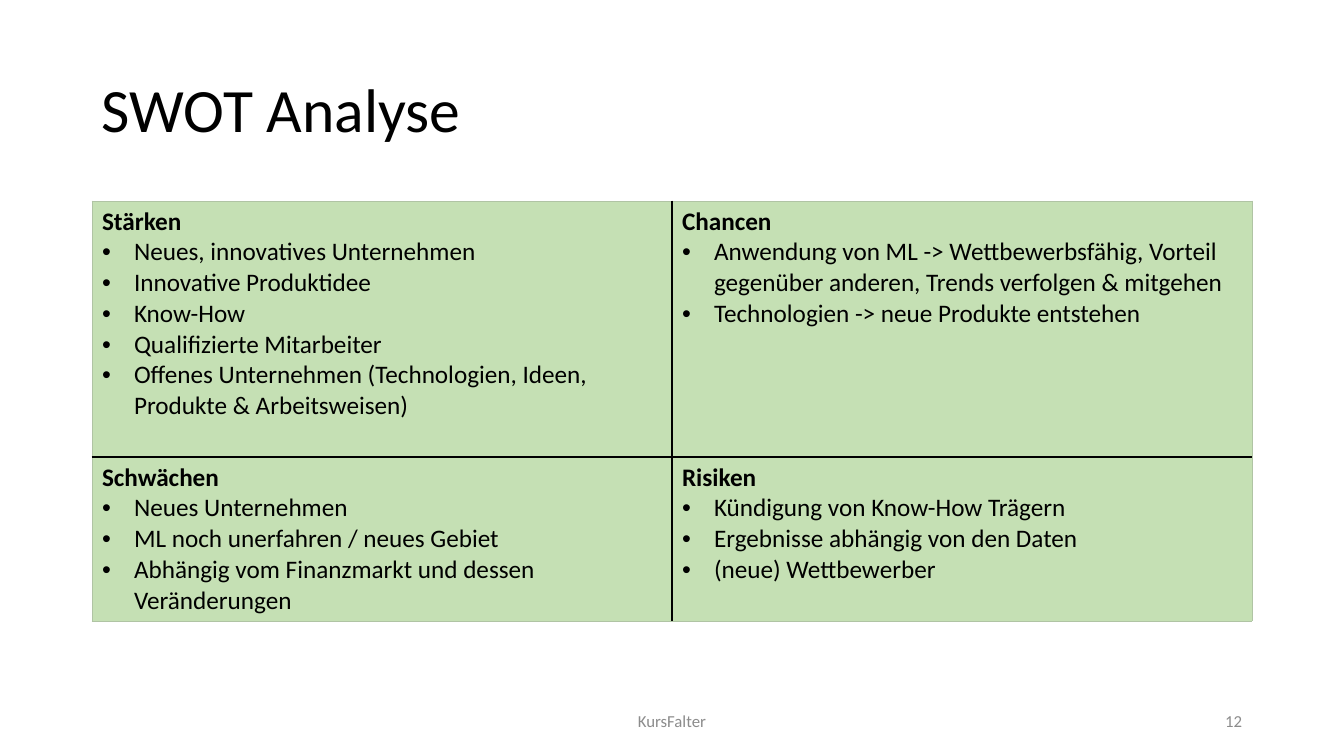
import pptx
import pptx.util
import pptx.dml.color
import pptx.enum.text
import pptx.oxml.ns
from lxml import etree

TITLE = "SWOT Analyse"
COMPANY = "KursFalter"
PAGE = "12"
SWOT = [
    [
        ("Stärken", [
            "Neues, innovatives Unternehmen",
            "Innovative Produktidee",
            "Know-How",
            "Qualifizierte Mitarbeiter",
            "Offenes Unternehmen (Technologien, Ideen, Produkte & Arbeitsweisen)",
        ]),
        ("Chancen", [
            "Anwendung von ML -> Wettbewerbsfähig, Vorteil gegenüber anderen, "
            "Trends verfolgen & mitgehen",
            "Technologien -> neue Produkte entstehen",
        ]),
    ],
    [
        ("Schwächen", [
            "Neues Unternehmen",
            "ML noch unerfahren / neues Gebiet",
            "Abhängig vom Finanzmarkt und dessen Veränderungen",
        ]),
        ("Risiken", [
            "Kündigung von Know-How Trägern",
            "Ergebnisse abhängig von den Daten",
            "(neue) Wettbewerber",
        ]),
    ],
]

THEME = {
    "font": "Calibri",
    "ink": "000000",
    "muted": "8C8C8C",
    "field": "C5E0B4",
    "edge": "B0C4A4",
    "title_size": 44,
    "body_size": 18,
    "footer_size": 12,
    "divider_width": 1,
    "edge_width": 0.5,
}

SLIDE_W, SLIDE_H = 1344, 756
MARGIN = 92
CONTENT_W = SLIDE_W - 2 * MARGIN
TITLE_TOP, TITLE_H = 40, 146
MATRIX_TOP = 201
ROW_HEIGHTS = [256, 164]
FOOTER_TOP, FOOTER_H = 701, 40
COMPANY_W, PAGE_W = 454, 302
BULLET_INDENT = 32

ALIGN = pptx.enum.text.PP_ALIGN


def px(length):
    return pptx.util.Emu(round(length * 914400 / 100.8))


def color(name):
    return pptx.dml.color.RGBColor.from_string(THEME[name])


def style(font, size, ink, bold=False):
    font.name = THEME["font"]
    font.size = pptx.util.Pt(THEME[size])
    font.color.rgb = color(ink)
    font.bold = bold


def add_label(slide, text, box, size, ink, align):
    frame = slide.shapes.add_textbox(*map(px, box)).text_frame
    frame.word_wrap = True
    frame.vertical_anchor = pptx.enum.text.MSO_ANCHOR.MIDDLE
    frame.text = text
    line = frame.paragraphs[0]
    line.alignment = align
    style(line.runs[0].font, size, ink)
    return line


def add_bullet(paragraph):
    properties = paragraph._p.get_or_add_pPr()
    properties.set("marL", str(px(BULLET_INDENT)))
    properties.set("indent", str(-px(BULLET_INDENT)))
    qn = pptx.oxml.ns.qn
    etree.SubElement(properties, qn("a:buFont"), typeface="Arial")
    etree.SubElement(properties, qn("a:buChar"), char="•")


def add_border(cell, side, kind):
    qn = pptx.oxml.ns.qn
    width = pptx.util.Pt(THEME[kind + "_width"])
    line = etree.SubElement(cell._tc.get_or_add_tcPr(), qn("a:ln" + side), w=str(width))
    fill = etree.SubElement(line, qn("a:solidFill"))
    ink = THEME["ink" if kind == "divider" else "edge"]
    etree.SubElement(fill, qn("a:srgbClr"), val=ink)


def fill_quadrant(cell, heading, points, inner_sides):
    for side in "LRTB":
        add_border(cell, side, "divider" if side in inner_sides else "edge")
    cell.fill.solid()
    cell.fill.fore_color.rgb = color("field")
    cell.text_frame.text = "\n".join([heading, *points])
    for index, paragraph in enumerate(cell.text_frame.paragraphs):
        if index:
            add_bullet(paragraph)
        style(paragraph.runs[0].font, "body_size", "ink", bold=index == 0)


def add_matrix(slide):
    box = (MARGIN, MATRIX_TOP, CONTENT_W, sum(ROW_HEIGHTS))
    matrix = slide.shapes.add_table(len(SWOT), len(SWOT[0]), *map(px, box)).table
    matrix.first_row = False
    matrix.horz_banding = False
    for row, height in zip(matrix.rows, ROW_HEIGHTS):
        row.height = px(height)
    for r, quadrants in enumerate(SWOT):
        for c, (heading, points) in enumerate(quadrants):
            inner_sides = "RL"[c] + "BT"[r]
            fill_quadrant(matrix.cell(r, c), heading, points, inner_sides)


def main():
    deck = pptx.Presentation()
    deck.slide_width, deck.slide_height = px(SLIDE_W), px(SLIDE_H)
    slide = deck.slides.add_slide(deck.slide_layouts[6])
    title = add_label(slide, TITLE, (MARGIN, TITLE_TOP, CONTENT_W, TITLE_H),
                      "title_size", "ink", ALIGN.LEFT)
    title.line_spacing = 0.9
    add_matrix(slide)
    company_left = (SLIDE_W - COMPANY_W) // 2
    page_left = SLIDE_W - MARGIN - PAGE_W
    add_label(slide, COMPANY, (company_left, FOOTER_TOP, COMPANY_W, FOOTER_H),
              "footer_size", "muted", ALIGN.CENTER)
    add_label(slide, PAGE, (page_left, FOOTER_TOP, PAGE_W, FOOTER_H),
              "footer_size", "muted", ALIGN.RIGHT)
    deck.save("out.pptx")


if __name__ == "__main__":
    main()
